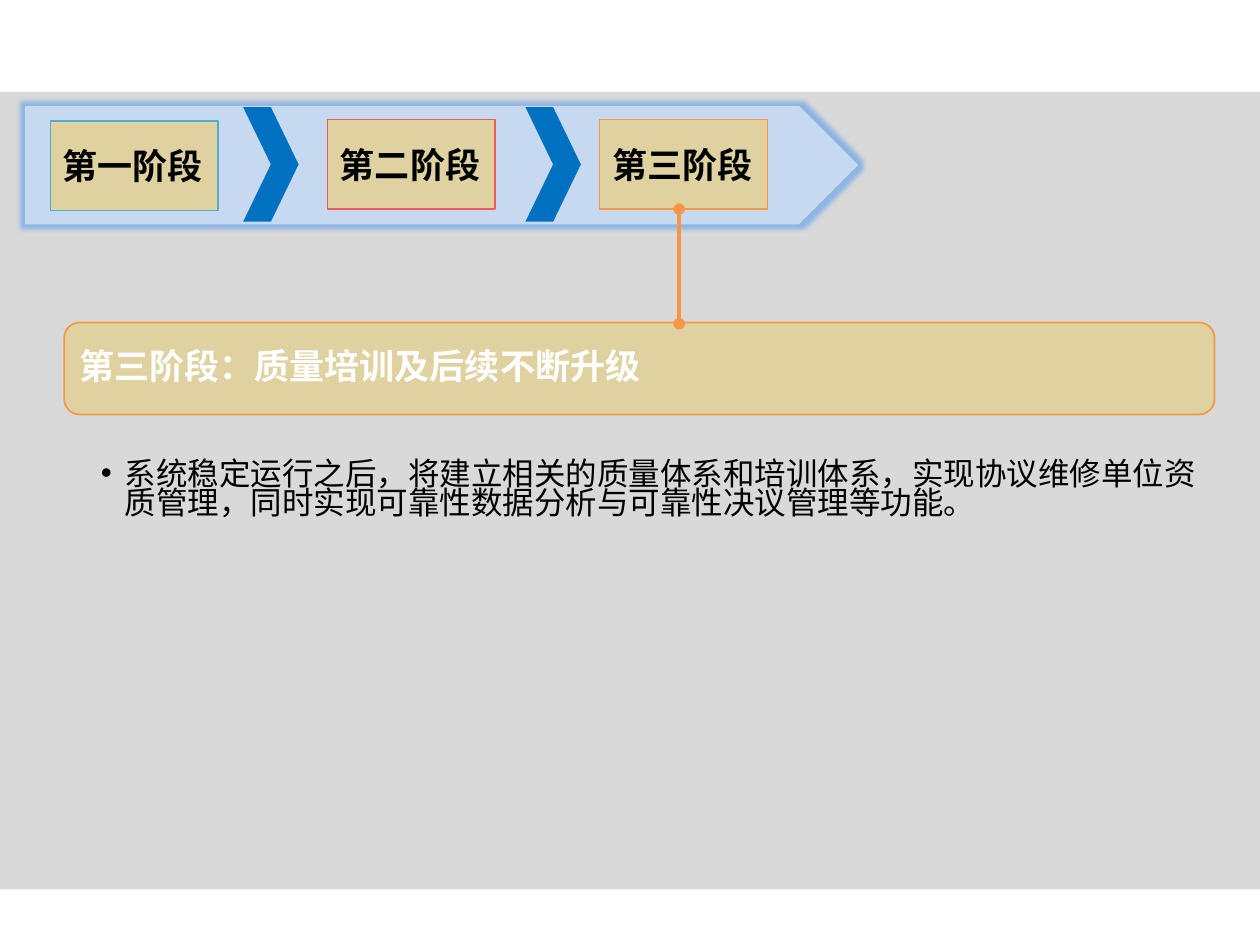
from lxml import etree
from pptx import Presentation
from pptx.dml.color import RGBColor
from pptx.enum.shapes import MSO_CONNECTOR, MSO_SHAPE
from pptx.enum.text import MSO_ANCHOR, PP_ALIGN
from pptx.oxml.ns import qn
from pptx.util import Inches, Pt

RECT = MSO_SHAPE.RECTANGLE
ROUND_RECT = MSO_SHAPE.ROUNDED_RECTANGLE
PENTAGON = MSO_SHAPE.PENTAGON
CHEVRON = MSO_SHAPE.CHEVRON
STRAIGHT = MSO_CONNECTOR.STRAIGHT
TOP = MSO_ANCHOR.TOP
MIDDLE = MSO_ANCHOR.MIDDLE
LEFT = PP_ALIGN.LEFT

FONT = "Noto Sans CJK SC"
COLORS = {
    "panel": "D9D9D9",
    "band": "C6D9F1",
    "glow": "8EB4E3",
    "chevron": "0070C0",
    "sand": "DFD2A0",
    "teal": "51AEC6",
    "red": "EF5959",
    "orange": "F79646",
    "black": "000000",
    "white": "FFFFFF",
}


def rgb(name):
    return RGBColor.from_string(COLORS[name])


def add_shape(s, kind, x, y, w, h, fill, line=None, width=0.75):
    sp = s.shapes.add_shape(kind, Inches(x), Inches(y), Inches(w), Inches(h))
    sp.shadow.inherit = False
    sp.fill.solid()
    sp.fill.fore_color.rgb = rgb(fill)
    if line:
        sp.line.color.rgb = rgb(line)
        sp.line.width = Pt(width)
    else:
        sp.line.fill.background()
    return sp


def write_text(sp, text, size=20, color="black", bold=False, anchor=MIDDLE,
               spacing=1.0, margins=(0.1, 0.05, 0.1, 0.05)):
    tf = sp.text_frame
    tf.word_wrap = True
    tf.vertical_anchor = anchor
    tf.margin_left, tf.margin_top, tf.margin_right, tf.margin_bottom = map(Inches, margins)
    p = tf.paragraphs[0]
    p.alignment = LEFT
    p.line_spacing = spacing
    r = p.add_run()
    r.text = text
    r.font.size = Pt(size)
    r.font.bold = bold
    r.font.name = FONT
    r.font.color.rgb = rgb(color)
    ea = etree.SubElement(r.font._element, qn("a:ea"))
    ea.set("typeface", FONT)
    return p


def add_glow(sp, color, radius):
    effects = sp._element.spPr.find(qn("a:effectLst"))
    glow = etree.SubElement(effects, qn("a:glow"), rad=str(Pt(radius)))
    etree.SubElement(glow, qn("a:srgbClr"), val=COLORS[color])


def add_bullet(p, indent):
    pPr = p._p.get_or_add_pPr()
    pPr.set("marL", str(Inches(indent)))
    pPr.set("indent", str(-Inches(indent)))
    etree.SubElement(pPr, qn("a:buFont"), typeface="Arial")
    etree.SubElement(pPr, qn("a:buChar"), char="•")


def add_stage_band(s, x, y, w, h):
    band = add_shape(s, PENTAGON, x, y, w, h, "band")
    add_glow(band, "glow", 5)
    for dx in (1.73, 3.97):
        add_shape(s, CHEVRON, x + dx, y + 0.01, 0.44, 0.91, "chevron")
    stages = [
        ("第一阶段", 0.2, 0.12, "teal"),
        ("第二阶段", 2.4, 0.11, "red"),
        ("第三阶段", 4.56, 0.11, "orange"),
    ]
    for text, dx, dy, line in stages:
        sp = add_shape(s, RECT, x + dx, y + dy, 1.33, 0.71, "sand", line)
        write_text(sp, text, bold=True)


def add_detail(s, x, y, w, h, title, body):
    title_h = 0.73
    add_shape(s, ROUND_RECT, x, y, w, title_h, "sand", "orange", 1)
    inset = 0.04
    box = s.shapes.add_textbox(Inches(x + inset), Inches(y + inset),
                               Inches(w - 2 * inset), Inches(title_h - 2 * inset))
    write_text(box, title, color="white", bold=True, spacing=0.9, margins=(0.08,) * 4)
    box = s.shapes.add_textbox(Inches(x), Inches(y + title_h), Inches(w), Inches(h - title_h))
    p = write_text(box, body, size=18, anchor=TOP, spacing=0.76,
                   margins=(0.29, 0.38, 0.14, 0.03))
    add_bullet(p, 0.19)


def add_link(s, x, top, bottom):
    link = s.shapes.add_connector(STRAIGHT, Inches(x), Inches(top), Inches(x), Inches(bottom))
    link.line.color.rgb = rgb("orange")
    link.line.width = Pt(2.25)
    ln = link.line._get_or_add_ln()
    for end in ("a:headEnd", "a:tailEnd"):
        etree.SubElement(ln, qn(end), type="oval")
    etree.SubElement(link._element.spPr, qn("a:effectLst"))


def main():
    prs = Presentation()
    prs.slide_width, prs.slide_height = Inches(10), Inches(7.5)
    s = prs.slides.add_slide(prs.slide_layouts[6])
    add_shape(s, RECT, 0, 0.73, 10, 6.33, "panel")
    add_stage_band(s, 0.2, 0.84, 6.61, 0.94)
    add_detail(
        s, 0.51, 2.56, 9.13, 2.17,
        "第三阶段：质量培训及后续不断升级",
        "系统稳定运行之后，将建立相关的质量体系和培训体系，实现协议维修单位资质管理，"
        "同时实现可靠性数据分析与可靠性决议管理等功能。",
    )
    add_link(s, 5.39, 1.66, 2.57)
    prs.save("out.pptx")


if __name__ == "__main__":
    main()
